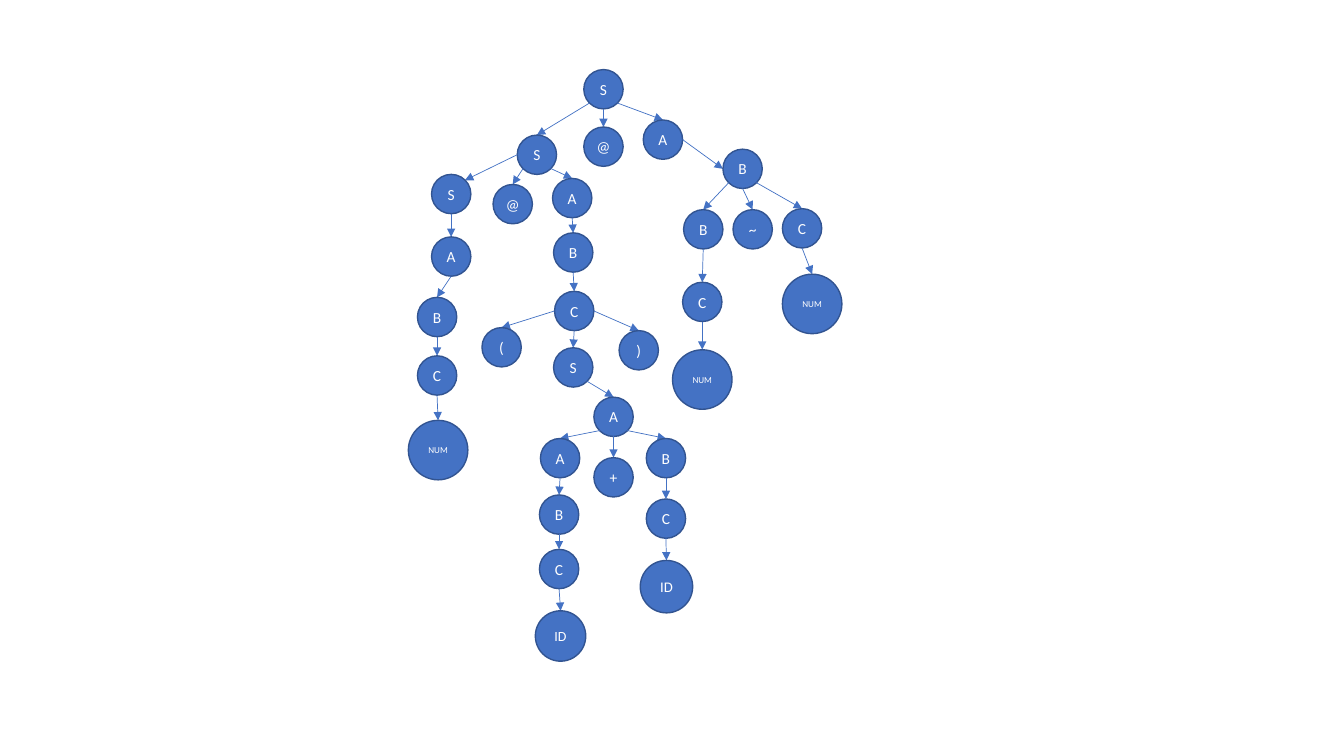
from dataclasses import dataclass

from lxml import etree
from pptx import Presentation, util as u
from pptx.dml.color import RGBColor
from pptx.enum import shapes, text
from pptx.oxml.ns import qn
from pptx.shapes.autoshape import Shape
from pptx.shapes.shapetree import GroupShapes

NODE_FILL = "4472C4"
NODE_OUTLINE = "325491"
LABEL_COLOR = "FFFFFF"
FONT = "Calibri"

SITES = {
    "top": (0.5, 0),
    "left": (0, 0.5),
    "right": (1, 0.5),
    "bottom": (0.5, 1),
    "bottom left": (0.15, 0.85),
    "bottom right": (0.85, 0.85),
    "top right": (0.85, 0.15),
}


@dataclass(frozen=True)
class Node:
    label: str
    left: float
    top: float
    children: tuple["Node", ...] = ()
    leave: str = "bottom"
    enter: str = "top"
    size: float = 0.39
    points: float = 11

    def site(self, name: str) -> tuple[u.Length, u.Length]:
        across, down = SITES[name]
        return (u.Inches(self.left + across * self.size),
                u.Inches(self.top + down * self.size))


def number(left: float, top: float) -> Node:
    return Node("NUM", left, top, size=0.59, points=6.5)


def color(value: str) -> RGBColor:
    return RGBColor.from_string(value)


def draw_circle(canvas: GroupShapes, node: Node) -> Shape:
    circle = canvas.add_shape(shapes.MSO_SHAPE.OVAL, u.Inches(node.left), u.Inches(node.top),
                              u.Inches(node.size), u.Inches(node.size))
    circle.shadow.inherit = False
    circle.fill.solid()
    circle.fill.fore_color.rgb = color(NODE_FILL)
    circle.line.color.rgb = color(NODE_OUTLINE)
    circle.line.width = u.Pt(1)
    frame = circle.text_frame
    frame.text = node.label
    frame.word_wrap = False
    frame.vertical_anchor = text.MSO_ANCHOR.MIDDLE
    frame.margin_left = frame.margin_right = frame.margin_top = frame.margin_bottom = 0
    para = frame.paragraphs[0]
    para.alignment = text.PP_ALIGN.CENTER
    span = para.runs[0]
    span.font.name = FONT
    span.font.size = u.Pt(node.points)
    span.font.color.rgb = color(LABEL_COLOR)
    return circle


def draw_arrow(canvas: GroupShapes, parent: Node, child: Node) -> None:
    arrow = canvas.add_connector(shapes.MSO_CONNECTOR.STRAIGHT,
                                 *parent.site(child.leave), *child.site(child.enter))
    arrow.line.color.rgb = color(NODE_FILL)
    arrow.line.width = u.Pt(0.5)
    properties = arrow._element.spPr
    outline = properties.find(qn("a:ln"))
    etree.SubElement(outline, qn("a:tailEnd"), type="triangle")
    etree.SubElement(properties, qn("a:effectLst"))


def draw_tree(canvas: GroupShapes, node: Node) -> None:
    draw_circle(canvas, node)
    for child in node.children:
        draw_arrow(canvas, node, child)
        draw_tree(canvas, child)


FIRST_NUMBER = Node("S", 4.28, 1.73, (
    Node("A", 4.28, 2.35, (
        Node("B", 4.14, 2.95, (
            Node("C", 4.14, 3.53, (number(4.05, 4.17),)),
        )),
    )),
), leave="left", enter="top right")

SUM = Node("A", 5.89, 3.94, (
    Node("A", 5.36, 4.35, (
        Node("B", 5.35, 4.91, (
            Node("C", 5.35, 5.45, (Node("ID", 5.31, 6.06, size=0.5, points=10),)),
        )),
    ), leave="bottom left"),
    Node("+", 5.89, 4.54),
    Node("B", 6.41, 4.35, (
        Node("C", 6.41, 4.95, (Node("ID", 6.35, 5.56, size=0.52, points=10.5),)),
    ), leave="bottom right"),
), leave="bottom right")

BRACKETS = Node("A", 5.48, 1.77, (
    Node("B", 5.49, 2.31, (
        Node("C", 5.5, 2.89, (
            Node("(", 4.78, 3.25, leave="left"),
            Node("S", 5.49, 3.45, (SUM,)),
            Node(")", 6.14, 3.28, leave="right"),
        )),
    )),
), leave="bottom right")

RIGHT_OPERAND = Node("A", 6.38, 1.19, (
    Node("B", 7.17, 1.48, (
        Node("B", 6.78, 2.08, (
            Node("C", 6.77, 2.8, (number(6.67, 3.47),)),
        ), leave="bottom left"),
        Node("~", 7.27, 2.08),
        Node("C", 7.76, 2.07, (number(7.76, 2.72),), leave="bottom right"),
    ), leave="right", enter="left"),
), leave="bottom right")

PARSE_TREE = Node("S", 5.79, 0.69, (
    Node("S", 5.13, 1.34, (
        FIRST_NUMBER,
        Node("@", 4.89, 1.83, leave="bottom left"),
        BRACKETS,
    ), leave="bottom left"),
    Node("@", 5.79, 1.26),
    RIGHT_OPERAND,
))


def main() -> None:
    deck = Presentation()
    deck.slide_width = u.Inches(13.33)
    deck.slide_height = u.Inches(7.5)
    page = deck.slides.add_slide(deck.slide_layouts[6])
    draw_tree(page.shapes.add_group_shape().shapes, PARSE_TREE)
    deck.save("out.pptx")


if __name__ == "__main__":
    main()
